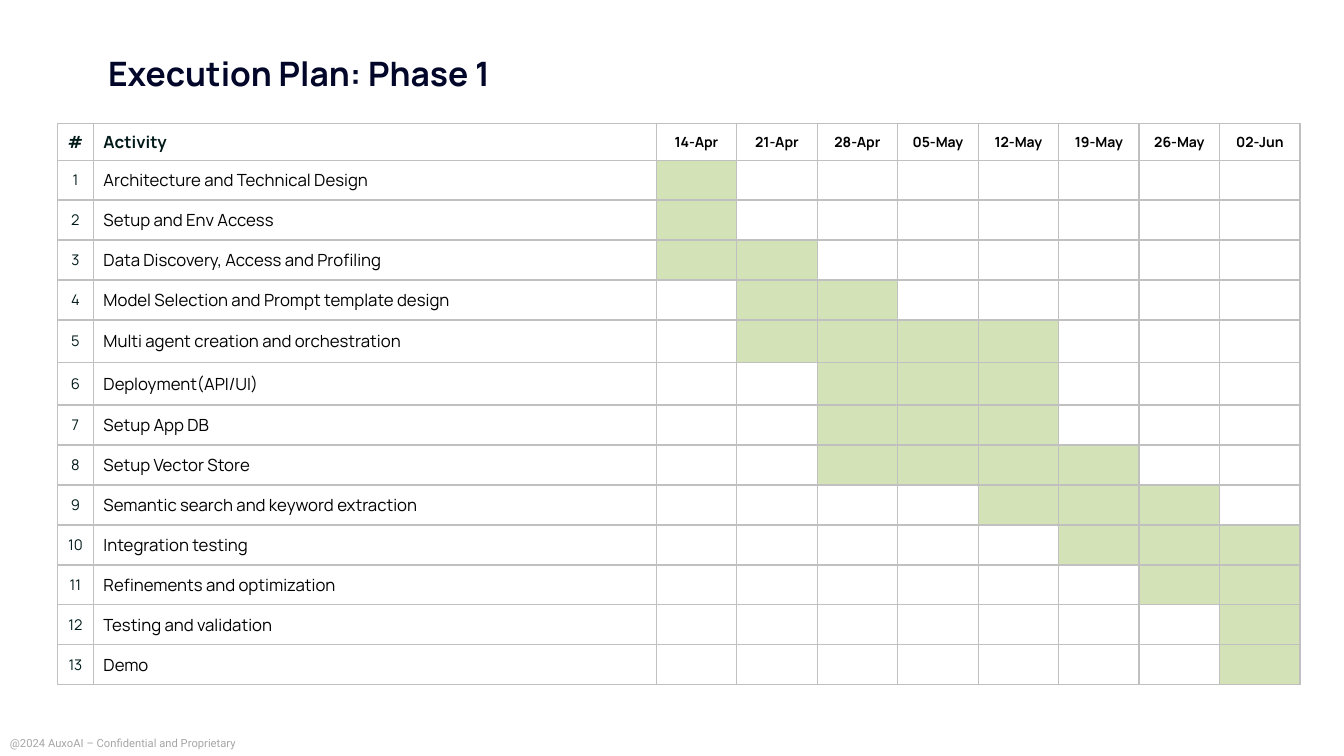
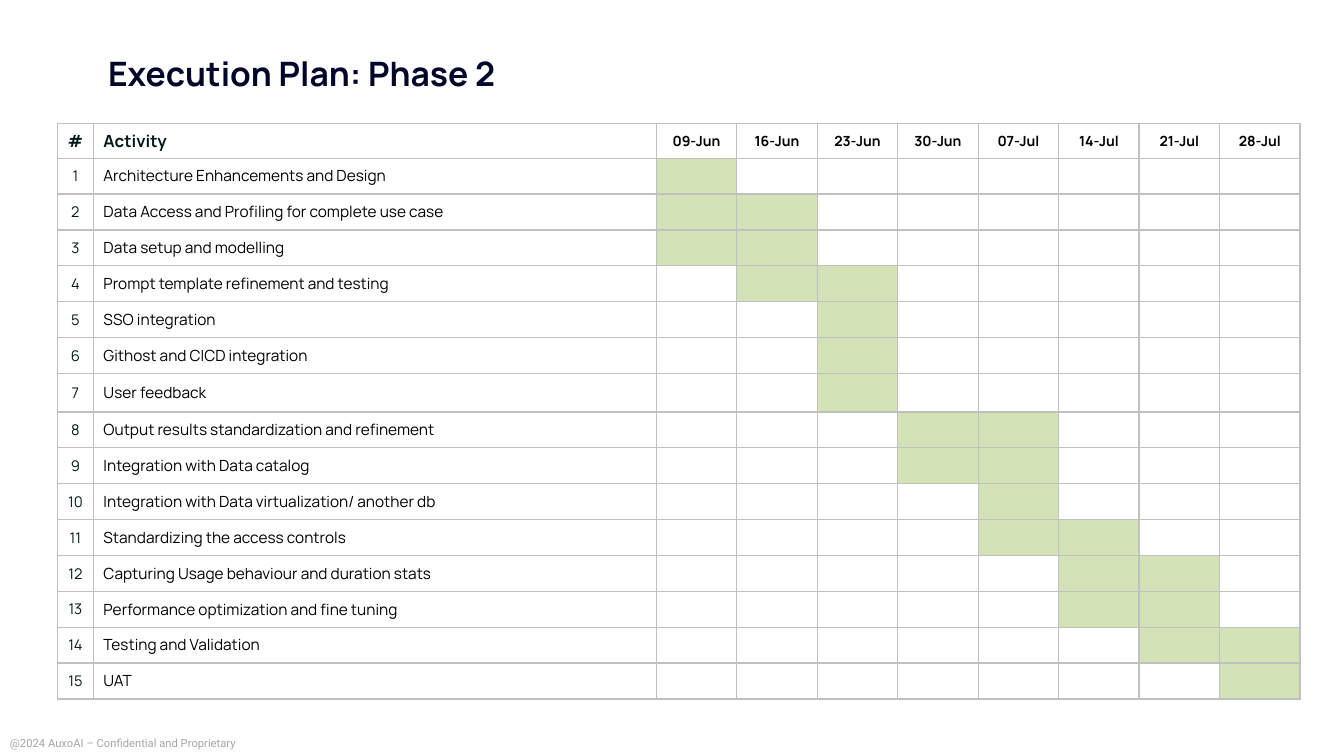
"""Build a two-phase execution plan with one Gantt table per slide."""
from dataclasses import dataclass, field

from lxml.etree import SubElement
from pptx import Presentation
from pptx.dml.color import RGBColor
from pptx.enum.text import MSO_ANCHOR, MSO_AUTO_SIZE, PP_ALIGN
from pptx.oxml.ns import qn
from pptx.util import Pt

COLORS = {
    "title": "02072A",
    "label": "001919",
    "text": "000000",
    "footer": "A6A6A6",
    "grid": "C0C0C0",
    "busy": "D3E3B7",
    "free": "FFFFFF",
}
FONT = "Manrope"
FOOTER = "@2024 AuxoAI – Confidential and Proprietary"
TABLE_LEFT, TABLE_TOP = 41, 88.5
NUMBER_W, ACTIVITY_W, WEEK_W = 25.75, 402, 57.5
BODY_MARGINS = (7.2, 3.6, 7.2, 3.6)
NUMBER_MARGINS = (3.6, 3.6, 3.6, 3.6)
WEEK_MARGINS = (0.7, 0.7, 0.7, 0)
EMPTY_MARGINS = (0, 0, 0, 0)


@dataclass
class Activity:
    name: str
    first: int
    last: int


@dataclass
class Phase:
    title: str
    weeks: list[str]
    activities: list[Activity]
    size: float
    header_h: float
    row_h: float
    tall_h: float
    tall_rows: set[int] = field(default_factory=set)


PHASES = [
    Phase(
        "Execution Plan: Phase 1",
        ["14-Apr", "21-Apr", "28-Apr", "05-May", "12-May", "19-May", "26-May", "02-Jun"],
        [
            Activity("Architecture and Technical Design", 1, 1),
            Activity("Setup and Env Access", 1, 1),
            Activity("Data Discovery, Access and Profiling", 1, 2),
            Activity("Model Selection and Prompt template design", 2, 3),
            Activity("Multi agent creation and orchestration", 2, 5),
            Activity("Deployment(API/UI)", 3, 5),
            Activity("Setup App DB", 3, 5),
            Activity("Setup Vector Store", 3, 6),
            Activity("Semantic search and keyword extraction", 5, 7),
            Activity("Integration testing", 6, 8),
            Activity("Refinements and optimization", 7, 8),
            Activity("Testing and validation", 8, 8),
            Activity("Demo", 8, 8),
        ],
        size=12, header_h=25.9, row_h=28.55, tall_h=30.4, tall_rows={5, 6},
    ),
    Phase(
        "Execution Plan: Phase 2",
        ["09-Jun", "16-Jun", "23-Jun", "30-Jun", "07-Jul", "14-Jul", "21-Jul", "28-Jul"],
        [
            Activity("Architecture Enhancements and Design", 1, 1),
            Activity("Data Access and Profiling for complete use case", 1, 2),
            Activity("Data setup and modelling", 1, 2),
            Activity("Prompt template refinement and testing", 2, 3),
            Activity("SSO integration", 3, 3),
            Activity("Githost and CICD integration", 3, 3),
            Activity("User feedback", 3, 3),
            Activity("Output results standardization and refinement", 4, 5),
            Activity("Integration with Data catalog", 4, 5),
            Activity("Integration with Data virtualization/ another db", 5, 5),
            Activity("Standardizing the access controls", 5, 6),
            Activity("Capturing Usage behaviour and duration stats", 6, 7),
            Activity("Performance optimization and fine tuning", 6, 7),
            Activity("Testing and Validation", 7, 8),
            Activity("UAT", 8, 8),
        ],
        size=11, header_h=24.5, row_h=25.65, tall_h=27.5, tall_rows={7},
    ),
]


def write(tf, text: str, *, size: float, color: str, font: str = FONT,
          bold: bool = False, align=PP_ALIGN.LEFT, spacing: float | None = None) -> None:
    p = tf.paragraphs[0]
    p.alignment = align
    if spacing:
        p.line_spacing = spacing
    r = p.add_run()
    r.text = text
    r.font.name, r.font.size, r.font.bold = font, Pt(size), bold
    r.font.color.rgb = RGBColor.from_string(COLORS[color])


def style_cell(cell, fill: str = "free", margins: tuple = EMPTY_MARGINS) -> None:
    tc_pr = cell._tc.get_or_add_tcPr()
    for side in ("lnL", "lnR", "lnT", "lnB"):
        ln = SubElement(tc_pr, qn(f"a:{side}"), w=str(Pt(1)))
        solid = SubElement(ln, qn("a:solidFill"))
        SubElement(solid, qn("a:srgbClr"), val=COLORS["grid"])
    cell.fill.solid()
    cell.fill.fore_color.rgb = RGBColor.from_string(COLORS[fill])
    cell.vertical_anchor = MSO_ANCHOR.MIDDLE
    (cell.margin_left, cell.margin_top,
     cell.margin_right, cell.margin_bottom) = map(Pt, margins)


def label_cell(cell, text: str, margins: tuple = BODY_MARGINS, **fmt) -> None:
    style_cell(cell, margins=margins)
    write(cell.text_frame, text, **fmt)


def add_gantt(s, phase: Phase) -> None:
    widths = [NUMBER_W, ACTIVITY_W] + [WEEK_W] * len(phase.weeks)
    numbers = range(1, len(phase.activities) + 1)
    heights = [phase.header_h] + [
        phase.tall_h if n in phase.tall_rows else phase.row_h for n in numbers]
    table = s.shapes.add_table(
        len(heights), len(widths), Pt(TABLE_LEFT), Pt(TABLE_TOP),
        Pt(sum(widths)), Pt(sum(heights))).table
    table.first_row = table.horz_banding = False
    for column, width in zip(table.columns, widths):
        column.width = Pt(width)
    for row, height in zip(table.rows, heights):
        row.height = Pt(height)

    center = PP_ALIGN.CENTER
    label_cell(table.cell(0, 0), "#", size=12, color="label", bold=True, align=center)
    label_cell(table.cell(0, 1), "Activity", size=12, color="label", bold=True)
    for week, date in enumerate(phase.weeks, 1):
        label_cell(table.cell(0, week + 1), date, WEEK_MARGINS,
                   size=10, color="text", bold=True, align=center)
    for n, activity in zip(numbers, phase.activities):
        label_cell(table.cell(n, 0), str(n), NUMBER_MARGINS,
                   size=10.5, color="label", align=center)
        label_cell(table.cell(n, 1), activity.name, size=phase.size, color="text")
        for week in range(1, len(phase.weeks) + 1):
            busy = activity.first <= week <= activity.last
            style_cell(table.cell(n, week + 1), "busy" if busy else "free")


def add_title(s, text: str) -> None:
    sp = s.shapes.title
    sp.left, sp.top, sp.width, sp.height = Pt(70), Pt(23.5), Pt(888), Pt(61)
    tf = sp.text_frame
    tf.auto_size = MSO_AUTO_SIZE.NONE
    tf.vertical_anchor = MSO_ANCHOR.MIDDLE
    write(tf, text, size=24, color="title", bold=True, spacing=0.9)


def add_footer(s) -> None:
    sp = s.shapes.add_textbox(Pt(0), Pt(522.7), Pt(248), Pt(17))
    tf = sp.text_frame
    tf.word_wrap = True
    write(tf, FOOTER, size=8, color="footer", font="Roboto")


def main() -> None:
    prs = Presentation()
    prs.slide_width, prs.slide_height = Pt(960), Pt(540)
    title_only = prs.slide_layouts.get_by_name("Title Only")
    for phase in PHASES:
        s = prs.slides.add_slide(title_only)
        add_footer(s)
        add_title(s, phase.title)
        add_gantt(s, phase)
    prs.save("out.pptx")


if __name__ == "__main__":
    main()
